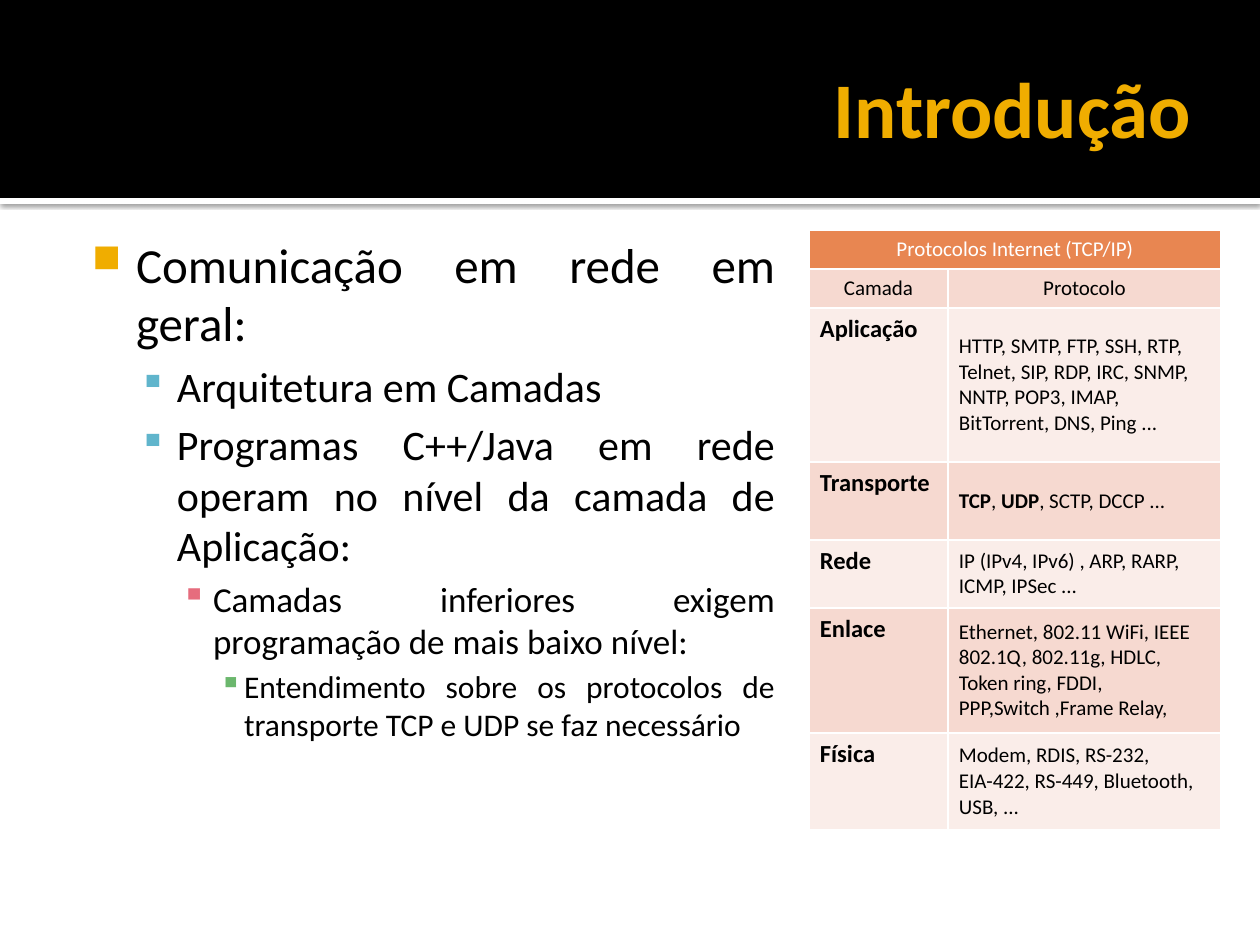
from lxml import etree
from pptx import Presentation
from pptx.dml.color import RGBColor
from pptx.enum.shapes import MSO_SHAPE
from pptx.enum.text import MSO_ANCHOR, PP_ALIGN
from pptx.oxml.ns import qn
from pptx.util import Pt

RECT = MSO_SHAPE.RECTANGLE
TOP, MID = MSO_ANCHOR.TOP, MSO_ANCHOR.MIDDLE
LEFT, RIGHT = PP_ALIGN.LEFT, PP_ALIGN.RIGHT
CENTER, JUST = PP_ALIGN.CENTER, PP_ALIGN.JUSTIFY

BLACK = RGBColor(0x00, 0x00, 0x00)
WHITE = RGBColor(0xFF, 0xFF, 0xFF)
GOLD = RGBColor(0xF0, 0xAD, 0x00)
BLUE = RGBColor(0x60, 0xB5, 0xCC)
PINK = RGBColor(0xE6, 0x6C, 0x7D)
GREEN = RGBColor(0x6B, 0xB7, 0x6D)
ORANGE = RGBColor(0xE8, 0x86, 0x51)
ROSE = RGBColor(0xF6, 0xD9, 0xD0)
PALE = RGBColor(0xFA, 0xED, 0xE9)

SCALE = 914400 / 126
LEVELS = [
    dict(size=28, mark="■", color=GOLD, part=80, left=60, hang=44, gap=0),
    dict(size=24, mark="▪", color=BLUE, part=90, left=101, hang=38, gap=4.8),
    dict(size=20, mark="▪", color=PINK, part=100, left=137, hang=32, gap=4),
    dict(size=18, mark="▪", color=GREEN, part=100, left=168, hang=25, gap=3.6),
]
POINTS = [
    (0, "Comunicação em rede em geral:"),
    (1, "Arquitetura em Camadas"),
    (1, "Programas C++/Java em rede operam no nível da camada de Aplicação:"),
    (2, "Camadas inferiores exigem programação de mais baixo nível:"),
    (3, "Entendimento sobre os protocolos de transporte TCP e UDP se faz necessário"),
]
LAYERS = [
    ("Aplicação", 154, [("HTTP, SMTP, FTP, SSH, RTP, Telnet, SIP, RDP, IRC, SNMP, "
                         "NNTP, POP3, IMAP, BitTorrent, DNS, Ping ...", False)]),
    ("Transporte", 78, [("TCP", True), (", ", False), ("UDP", True),
                        (", SCTP, DCCP ...", False)]),
    ("Rede", 68, [("IP (IPv4, IPv6) , ARP, RARP, ICMP, IPSec ...", False)]),
    ("Enlace", 125, [("Ethernet, 802.11 WiFi, IEEE 802.1Q, 802.11g, HDLC, "
                      "Token ring, FDDI, PPP,Switch ,Frame Relay,", False)]),
    ("Física", 97, [("Modem, RDIS, RS-232, EIA-422, RS-449, Bluetooth, USB, ...", False)]),
]


def px(num):
    return round(num * SCALE)


def put(item, **vals):
    for key, val in vals.items():
        setattr(item, key, val)


def pad(item, left, top, right, low):
    put(item, margin_left=px(left), margin_top=px(top),
        margin_right=px(right), margin_bottom=px(low))


def node(base, tag, **vals):
    part = etree.SubElement(base, qn(tag))
    for key, val in vals.items():
        part.set(key, str(val))
    return part


def write(para, text, size, color=BLACK, bold=False):
    run = para.add_run()
    run.text = text
    put(run.font, name="Calibri", size=Pt(size), bold=bold)
    run.font.color.rgb = color


def block(slide, box, color):
    shape = slide.shapes.add_shape(RECT, *map(px, box))
    shape.shadow.inherit = False
    shape.fill.solid()
    shape.fill.fore_color.rgb = color
    shape.line.fill.background()
    return shape


def frame(slide, box, anchor):
    text = slide.shapes.add_textbox(*map(px, box)).text_frame
    put(text, word_wrap=True, vertical_anchor=anchor)
    return text


def banner(slide, box):
    x, y, wide, high = box
    strip = block(slide, (x, y + high, wide, 6), WHITE)
    glow = node(strip.element.spPr.find(qn("a:effectLst")), "a:outerShdw",
                blurRad=Pt(2.5), dist=Pt(0.8), dir=5400000, rotWithShape=0)
    node(node(glow, "a:srgbClr", val=BLACK), "a:alpha", val=60000)
    block(slide, box, BLACK)
    text = frame(slide, (x + 63, y + 21, wide - 126, 173), MID)
    pad(text, 13, 6, 6, 6)
    para = text.paragraphs[0]
    para.alignment = RIGHT
    write(para, "Introdução", 45, GOLD, True)


def bullet(para, rank):
    props = para._p.get_or_add_pPr()
    props.set("marL", str(px(rank["left"])))
    props.set("indent", str(-px(rank["hang"])))
    node(node(props, "a:buClr"), "a:srgbClr", val=rank["color"])
    node(props, "a:buSzPct", val=rank["part"] * 1000)
    node(props, "a:buChar", char=rank["mark"])


def body(slide, box):
    text = frame(slide, box, TOP)
    pad(text, 13, 13, 13, 6)
    for spot, (level, words) in enumerate(POINTS):
        para = text.add_paragraph() if spot else text.paragraphs[0]
        rank = LEVELS[level]
        bullet(para, rank)
        put(para, level=level, alignment=JUST, space_before=Pt(rank["gap"]))
        write(para, words, rank["size"])


def cell(item, runs, fill, size=12, color=BLACK, align=LEFT, anchor=MID):
    pad(item, 11, 6, 11, 6)
    item.vertical_anchor = anchor
    props = item._tc.get_or_add_tcPr()
    for side in "LRTB":
        line = node(props, f"a:ln{side}", w=Pt(0.96))
        node(node(line, "a:solidFill"), "a:srgbClr", val=WHITE)
    item.fill.solid()
    item.fill.fore_color.rgb = fill
    para = item.text_frame.paragraphs[0]
    para.alignment = align
    for text, bold in runs:
        write(para, text, size, color, bold)


def grid(slide, box):
    highs = [39, 39] + [high for _, high, _ in LAYERS]
    table = slide.shapes.add_table(len(highs), 2, *map(px, box)).table
    put(table, first_row=False, horz_banding=False)
    for col, wide in zip(table.columns, (139, box[2] - 139)):
        col.width = px(wide)
    for row, high in zip(table.rows, highs):
        row.height = px(high)
    table.cell(0, 0).merge(table.cell(0, 1))
    cell(table.cell(0, 0), [("Protocolos Internet (TCP/IP)", False)], ORANGE,
         color=WHITE, align=CENTER)
    cell(table.cell(0, 1), [], ORANGE)
    for col, head in enumerate(("Camada", "Protocolo")):
        cell(table.cell(1, col), [(head, False)], ROSE, align=CENTER)
    for row, (name, _, runs) in enumerate(LAYERS, 2):
        fill = ROSE if row % 2 else PALE
        cell(table.cell(row, 0), [(name, True)], fill, size=14, anchor=TOP)
        cell(table.cell(row, 1), runs, fill)


def main():
    deck = Presentation()
    put(deck, slide_width=px(1260), slide_height=px(945))
    slide = deck.slides.add_slide(deck.slide_layouts[6])
    banner(slide, (0, 0, 1260, 198))
    body(slide, (63, 221, 725, 624))
    grid(slide, (809, 230, 412, 600))
    deck.save("out.pptx")


if __name__ == "__main__":
    main()
